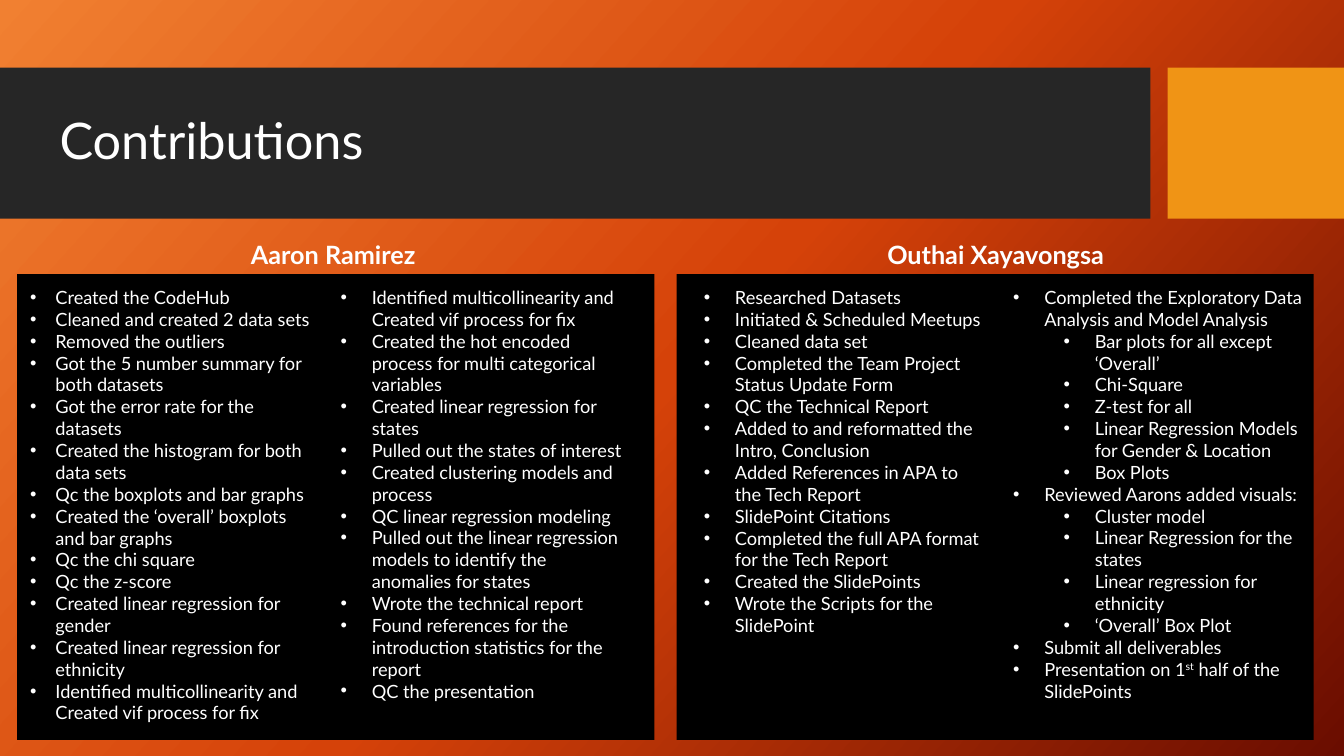
import pptx
import pptx.util
import pptx.dml.color
import pptx.enum.shapes
import pptx.enum.text
import copy
import lxml.etree

TITLE = "Contributions"
MEMBERS = [
    {
        "name": "Aaron Ramirez",
        "name_left": 0.49,
        "lists": [
            {"left": 0.2, "width": 3.07, "hang": 0.25, "items": [
                "Created the CodeHub",
                "Cleaned and created 2 data sets",
                "Removed the outliers",
                "Got the 5 number summary for both datasets",
                "Got the error rate for the datasets",
                "Created the histogram for both data sets",
                "Qc the boxplots and bar graphs",
                "Created the ‘overall’ boxplots and bar graphs",
                "Qc the chi square",
                "Qc the z-score",
                "Created linear regression for gender",
                "Created linear regression for ethnicity",
                "Identified multicollinearity and Created vif process for fix",
            ]},
            {"left": 3.28, "width": 3.07, "hang": 0.31, "items": [
                "Identified multicollinearity and Created vif process for fix",
                "Created the hot encoded process for multi categorical variables",
                "Created linear regression for states",
                "Pulled out the states of interest",
                "Created clustering models and process",
                "QC linear regression modeling",
                "Pulled out the linear regression models to identify the anomalies for states",
                "Wrote the technical report",
                "Found references for the introduction statistics for the report",
                "QC the presentation",
            ]},
        ],
    },
    {
        "name": "Outhai Xayavongsa",
        "name_left": 7.06,
        "lists": [
            {"left": 6.88, "width": 2.96, "hang": 0.31, "items": [
                "Researched Datasets",
                "Initiated & Scheduled Meetups",
                "Cleaned data set",
                "Completed the Team Project Status Update Form",
                "QC the Technical Report",
                "Added to and reformatted the Intro, Conclusion",
                "Added References in APA to the Tech Report",
                "SlidePoint Citations",
                "Completed the full APA format for the Tech Report",
                "Created the SlidePoints",
                "Wrote the Scripts for the SlidePoint",
            ]},
            {"left": 9.95, "width": 3.08, "hang": 0.31, "items": [
                "Completed the Exploratory Data Analysis and Model Analysis",
                ["Bar plots for all except ‘Overall’", "Chi-Square", "Z-test for all",
                 "Linear Regression Models for Gender & Location", "Box Plots"],
                "Reviewed Aarons added visuals:",
                ["Cluster model", "Linear Regression for the states",
                 "Linear regression for ethnicity", "‘Overall’ Box Plot"],
                "Submit all deliverables",
                "Presentation on 1^st^ half of the SlidePoints",
            ]},
        ],
    },
]
BACKGROUND = [(0, "F18031"), (0.5, "D54209"), (1, "6A0D00")]
FONT = "Lato"
WHITE = "FFFFFF"
WIDTH, HEIGHT = 13.33, 7.5
BAND_TOP, BAND_HEIGHT = 0.67, 1.5
PANEL_LEFT, PANEL_TOP, PANEL_STEP = 0.17, 2.72, 6.54
PANEL_WIDTH, PANEL_HEIGHT = 6.32, 4.62
NAME_WIDTH, NAME_HEIGHT = 5.63, 0.4
LIST_TOP = PANEL_TOP + 0.07
LIST_HEIGHT = PANEL_TOP + PANEL_HEIGHT - LIST_TOP
LEVEL_STEP = 0.5


def color(value):
    return pptx.dml.color.RGBColor.from_string(value)


def place(shape, left, top, width, height):
    shape.left, shape.top, shape.width, shape.height = map(
        pptx.util.Inches, (left, top, width, height))


def add_block(slide, box, fill, position):
    shape = slide.shapes.add_shape(
        pptx.enum.shapes.MSO_SHAPE.RECTANGLE, *map(pptx.util.Inches, box))
    shape.shadow.inherit = False
    shape.fill.solid()
    shape.fill.fore_color.rgb = color(fill)
    shape.line.fill.background()
    slide.shapes._spTree.insert(2 + position, shape._element)


def prepare_frame(shape, anchor):
    frame = shape.text_frame
    frame.word_wrap = True
    frame.auto_size = pptx.enum.text.MSO_AUTO_SIZE.NONE
    frame.vertical_anchor = anchor
    return frame


def format_paragraph(paragraph, size, bold=False, alignment=pptx.enum.text.PP_ALIGN.LEFT):
    paragraph.alignment = alignment
    paragraph.space_before = pptx.util.Pt(0)
    for run in paragraph.runs:
        run.font.name = FONT
        run.font.size = pptx.util.Pt(size)
        run.font.bold = bold
        run.font.color.rgb = color(WHITE)


def add_bullet(paragraph, indent, hang):
    properties = paragraph._p.get_or_add_pPr()
    properties.set("marL", str(pptx.util.Inches(indent)))
    properties.set("indent", str(-pptx.util.Inches(hang)))
    for tag, name, value in (("a:buFont", "typeface", "Arial"), ("a:buChar", "char", "•")):
        lxml.etree.SubElement(properties, pptx.oxml.ns.qn(tag)).set(name, value)


def fill_list(shape, items, hang):
    frame = prepare_frame(shape, pptx.enum.text.MSO_ANCHOR.TOP)
    lines = []
    for item in items:
        lines += [(1, text) for text in item] if isinstance(item, list) else [(0, item)]
    for index, (level, text) in enumerate(lines):
        paragraph = frame.add_paragraph() if index else frame.paragraphs[0]
        paragraph.level = level
        for part, words in enumerate(text.split("^")):
            run = paragraph.add_run()
            run.text = words
            if part % 2:
                run.font._element.set("baseline", "30000")
        format_paragraph(paragraph, 13)
        add_bullet(paragraph, hang + level * LEVEL_STEP, hang)


def paint_background(slide):
    fill = slide.background.fill
    fill.gradient()
    fill.gradient_angle = 360 - 42
    first = fill.gradient_stops[0]._gs
    first.addnext(copy.deepcopy(first))
    for stop, (position, value) in zip(fill.gradient_stops, BACKGROUND):
        stop.position = position
        stop.color.rgb = color(value)


def main():
    presentation = pptx.Presentation()
    presentation.slide_width = pptx.util.Inches(WIDTH)
    presentation.slide_height = pptx.util.Inches(HEIGHT)
    slide = presentation.slides.add_slide(presentation.slide_layouts.get_by_name("Comparison"))
    paint_background(slide)

    blocks = [((0, BAND_TOP, 11.41, BAND_HEIGHT), "262626"),
              ((11.58, BAND_TOP, WIDTH - 11.58, BAND_HEIGHT), "F09415")]
    blocks += [((PANEL_LEFT + column * PANEL_STEP, PANEL_TOP, PANEL_WIDTH, PANEL_HEIGHT), "000000")
               for column in range(len(MEMBERS))]
    for position, (box, fill) in enumerate(blocks):
        add_block(slide, box, fill, position)

    title = slide.shapes.title
    place(title, 0.49, 0.83, 9.35, 1.18)
    frame = prepare_frame(title, pptx.enum.text.MSO_ANCHOR.MIDDLE)
    frame.text = TITLE
    format_paragraph(frame.paragraphs[0], 36)
    frame.paragraphs[0].line_spacing = 0.9

    bodies = [shape for shape in slide.placeholders if 1 <= shape.placeholder_format.idx <= 4]
    for member, heading, body in zip(MEMBERS, bodies[::2], bodies[1::2]):
        place(heading, member["name_left"], PANEL_TOP - NAME_HEIGHT, NAME_WIDTH, NAME_HEIGHT)
        frame = prepare_frame(heading, pptx.enum.text.MSO_ANCHOR.TOP)
        frame.text = member["name"]
        format_paragraph(frame.paragraphs[0], 18, True, pptx.enum.text.PP_ALIGN.CENTER)
        second = slide.shapes.add_textbox(0, 0, 0, 0)
        for shape, column in zip((body, second), member["lists"]):
            place(shape, column["left"], LIST_TOP, column["width"], LIST_HEIGHT)
            fill_list(shape, column["items"], column["hang"])

    presentation.save("out.pptx")


if __name__ == "__main__":
    main()
